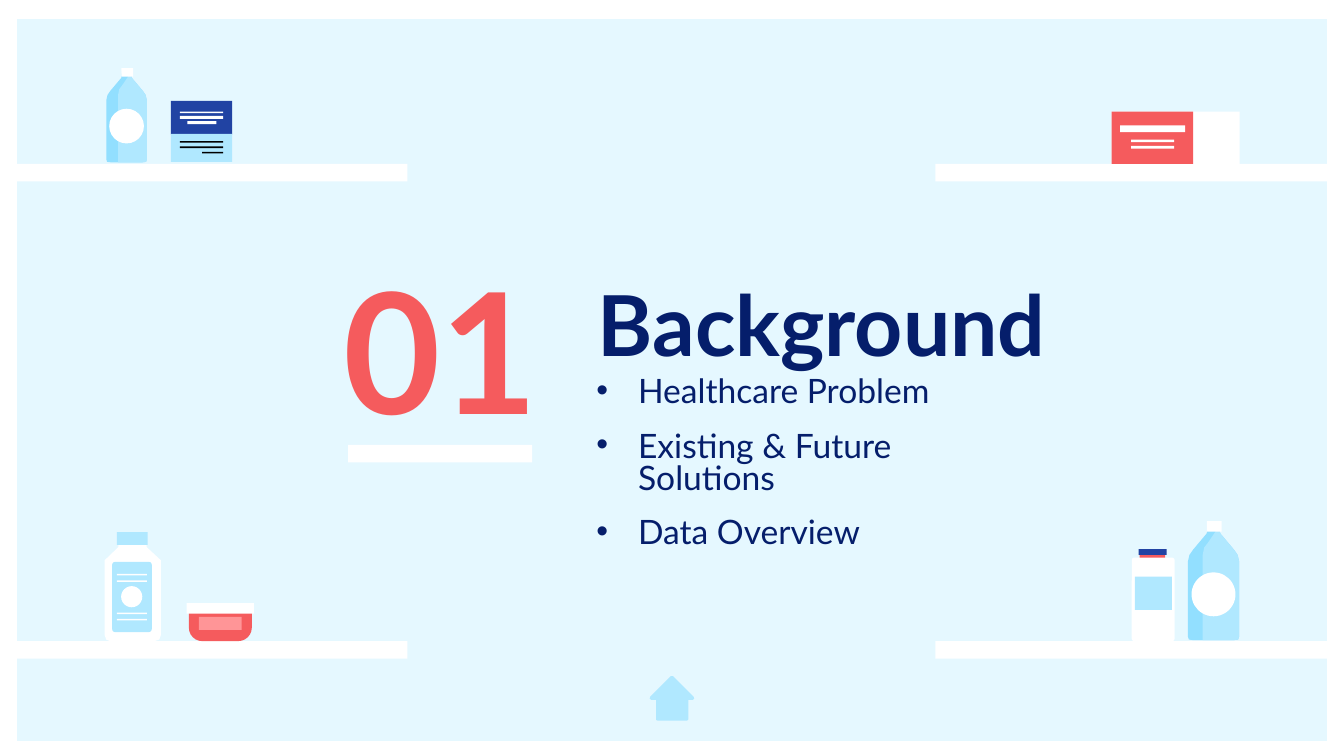
from dataclasses import dataclass

from lxml import etree
from pptx import Presentation
from pptx.dml.color import RGBColor
from pptx.enum.shapes import MSO_SHAPE
from pptx.enum.text import MSO_ANCHOR, MSO_AUTO_SIZE, PP_ALIGN
from pptx.oxml.ns import qn
from pptx.util import Cm, Pt

RECT, ROUNDED = MSO_SHAPE.RECTANGLE, MSO_SHAPE.ROUNDED_RECTANGLE
OVAL, BOWL = MSO_SHAPE.OVAL, MSO_SHAPE.ROUND_2_SAME_RECTANGLE
MIDDLE, NO_FIT = MSO_ANCHOR.MIDDLE, MSO_AUTO_SIZE.NONE
LEFT, CENTER = PP_ALIGN.LEFT, PP_ALIGN.CENTER


@dataclass(frozen=True)
class Theme:
    font: str = "Lato"
    wall: str = "E5F8FF"
    white: str = "FFFFFF"
    black: str = "000000"
    navy: str = "051E6B"
    blue: str = "2143A3"
    sky: str = "92DFFF"
    ice: str = "B0E8FF"
    coral: str = "F55B5D"
    pink: str = "FF9597"
    number_size: int = 90
    title_size: int = 45
    list_size: int = 18
    frame_width: int = 18


class PharmacySlide:
    """Draws the parts of a section slide in one theme."""

    def __init__(self, slide, theme):
        self.slide, self.theme = slide, theme
        backdrop = slide.background.fill
        backdrop.solid()
        backdrop.fore_color.rgb = RGBColor.from_string(theme.wall)

    def paint(self, part, color):
        part.shadow.inherit = False
        part.fill.solid()
        part.fill.fore_color.rgb = RGBColor.from_string(color)
        part.line.fill.background()

    def block(self, color, left, top, width, height, kind=RECT, corners=()):
        part = self.slide.shapes.add_shape(kind, Cm(left), Cm(top), Cm(width), Cm(height))
        for index, corner in enumerate(corners):
            part.adjustments[index] = corner
        self.paint(part, color)

    def outline(self, color, points, left=0, top=0, scale=1):
        corners = [(Cm(left + x * scale), Cm(top + y * scale)) for x, y in points]
        builder = self.slide.shapes.build_freeform(*corners[0])
        builder.add_line_segments(corners[1:])
        self.paint(builder.convert_to_shape(), color)

    def frame(self, left, top, width, height):
        border = self.slide.shapes.add_shape(RECT, Cm(left), Cm(top), Cm(width), Cm(height))
        border.shadow.inherit = False
        border.fill.background()
        border.line.color.rgb = RGBColor.from_string(self.theme.white)
        border.line.width = Pt(self.theme.frame_width)

    def place(self, holder, left, top, width, height):
        holder.left, holder.top = Cm(left), Cm(top)
        holder.width, holder.height = Cm(width), Cm(height)
        frame = holder.text_frame
        frame.word_wrap, frame.auto_size = True, NO_FIT
        frame.vertical_anchor = MIDDLE
        frame.margin_left = frame.margin_right = Cm(0.25)
        frame.margin_top = frame.margin_bottom = Cm(0.25)
        return frame

    def style(self, paragraph, size, color, bold=False):
        font = paragraph.font
        font.name, font.size, font.bold = self.theme.font, Pt(size), bold
        font.color.rgb = RGBColor.from_string(color)

    def heading(self, holder, wording, size, color, align, box):
        paragraph = self.place(holder, *box).paragraphs[0]
        paragraph.text, paragraph.alignment = wording, align
        self.style(paragraph, size, color, bold=True)

    def bullets(self, holder, topics, box):
        frame = self.place(holder, *box)
        frame.text = "\n".join(topics)
        for index, paragraph in enumerate(frame.paragraphs):
            paragraph.alignment, paragraph.line_spacing = LEFT, 0.8
            paragraph.space_before = Pt(12 if index else 0)
            properties = paragraph._p.get_or_add_pPr()
            properties.set("marL", str(Cm(0.79)))
            properties.set("indent", str(Cm(-0.79)))
            tint = etree.SubElement(properties, qn("a:buClr"))
            etree.SubElement(tint, qn("a:srgbClr")).set("val", self.theme.navy)
            etree.SubElement(properties, qn("a:buChar")).set("char", "•")
            self.style(paragraph, self.theme.list_size, self.theme.navy)

    def bottle(self, left, top, scale):
        theme = self.theme
        right_side = [(0.61, 0.23), (0.87, 0.54), (0.94, 0.64), (0.97, 0.77),
                      (0.97, 2.18), (0.95, 2.24), (0.87, 2.25)]
        left_side = [(0.97 - x, y) for x, y in reversed(right_side)]
        neck = [(0.38, 0.03), (0.59, 0.03)]
        lit_edge = [(0.28, 2.25), (0.28, 0.64), (0.31, 0.5), (0.38, 0.41), (0.59, 0.1)]
        self.outline(theme.sky, right_side + left_side + neck, left, top, scale)
        self.outline(theme.ice, right_side + lit_edge, left, top, scale)
        self.block(theme.white, left + 0.36 * scale, top, 0.28 * scale, 0.2 * scale)
        self.block(theme.white, left + 0.07 * scale, top + 0.97 * scale,
                   0.83 * scale, 0.83 * scale, OVAL)

    def medicine_carton(self):
        theme = self.theme
        self.block(theme.blue, 3.23, 1.91, 1.16, 0.63)
        self.block(theme.ice, 3.23, 2.53, 1.16, 0.53)
        for left, top, width, height in ((3.4, 2.11, 0.82, 0.03), (3.4, 2.19, 0.82, 0.06),
                                         (3.54, 2.29, 0.55, 0.06)):
            self.block(theme.white, left, top, width, height)
        for row, (left, width) in enumerate(((3.4, 0.82), (3.4, 0.82), (3.82, 0.4))):
            self.block(theme.black, left, 2.67 + 0.1 * row, width, 0.03)

    def bandage_box(self):
        theme = self.theme
        self.block(theme.white, 21.01, 2.11, 2.42, 0.99)
        self.block(theme.coral, 21.01, 2.11, 1.54, 0.99)
        self.block(theme.white, 21.17, 2.37, 1.23, 0.13)
        for top in (2.64, 2.76):
            self.block(theme.white, 21.38, top, 0.81, 0.05)

    def syrup_jar(self):
        theme = self.theme
        self.outline(theme.white, [
            (2.24, 10.34), (2.24, 10.11), (2.77, 10.11), (2.77, 10.34), (3.04, 10.59),
            (3.04, 12.01), (3.01, 12.09), (2.92, 12.12), (2.08, 12.12), (2.01, 12.09),
            (1.98, 12.01), (1.98, 10.59)])
        self.block(theme.ice, 2.12, 10.62, 0.75, 1.33, ROUNDED, [0.08])
        self.block(theme.ice, 2.21, 10.06, 0.58, 0.24)
        for pair_top in (10.85, 11.58):
            for top in (pair_top, pair_top + 0.12):
                self.block(theme.white, 2.21, top, 0.57, 0.03)
        self.block(theme.white, 2.29, 11.08, 0.4, 0.4, OVAL)

    def cream_bowl(self):
        theme = self.theme
        self.block(theme.coral, 3.57, 11.51, 1.19, 0.61, BOWL, [0, 0.42])
        self.block(theme.white, 3.53, 11.4, 1.27, 0.2)
        self.block(theme.pink, 3.76, 11.66, 0.81, 0.25)

    def pill_jar(self):
        theme = self.theme
        self.block(theme.coral, 21.54, 10.44, 0.48, 0.13)
        self.block(theme.blue, 21.52, 10.38, 0.53, 0.11)
        self.block(theme.white, 21.39, 10.54, 0.81, 1.58, ROUNDED, [0.06])
        self.block(theme.ice, 21.45, 10.9, 0.7, 0.63)

    def home_icon(self):
        ice = self.theme.ice
        self.block(ice, 12.4, 13.16, 0.61, 0.46, ROUNDED, [0.06])
        self.outline(ice, [(12.68, 12.78), (12.72, 12.78), (13.11, 13.17), (13.12, 13.21),
                           (13.09, 13.23), (12.31, 13.23), (12.28, 13.21), (12.29, 13.17)])


def main():
    deck = Presentation()
    deck.slide_width, deck.slide_height = Cm(25.4), Cm(14.29)
    slide = deck.slides.add_slide(deck.slide_layouts[1])
    theme = Theme()
    section = PharmacySlide(slide, theme)
    section.frame(0, 0.05, 25.4, 14.28)
    for top in (3.1, 12.12):
        for left in (-0.33, 17.68):
            section.block(theme.white, left, top, 8.03, 0.33)
    section.medicine_carton()
    section.bottle(2.01, 1.29, 0.79)
    section.bandage_box()
    section.heading(slide.shapes.title, "Background", theme.title_size, theme.navy,
                    LEFT, (11.05, 5.13, 10.01, 1.96))
    number = slide.shapes.add_textbox(0, 0, 0, 0)
    section.heading(number, "01", theme.number_size, theme.coral,
                    CENTER, (5.61, 4.72, 5.44, 3.68))
    section.bullets(slide.placeholders[1],
                    ("Healthcare Problem", "Existing & Future Solutions", "Data Overview"),
                    (11.02, 6.88, 8.76, 3.8))
    section.block(theme.white, 6.58, 8.41, 3.48, 0.33)
    section.cream_bowl()
    section.syrup_jar()
    section.bottle(22.45, 9.85, 1)
    section.pill_jar()
    section.home_icon()
    deck.save("out.pptx")


if __name__ == "__main__":
    main()
